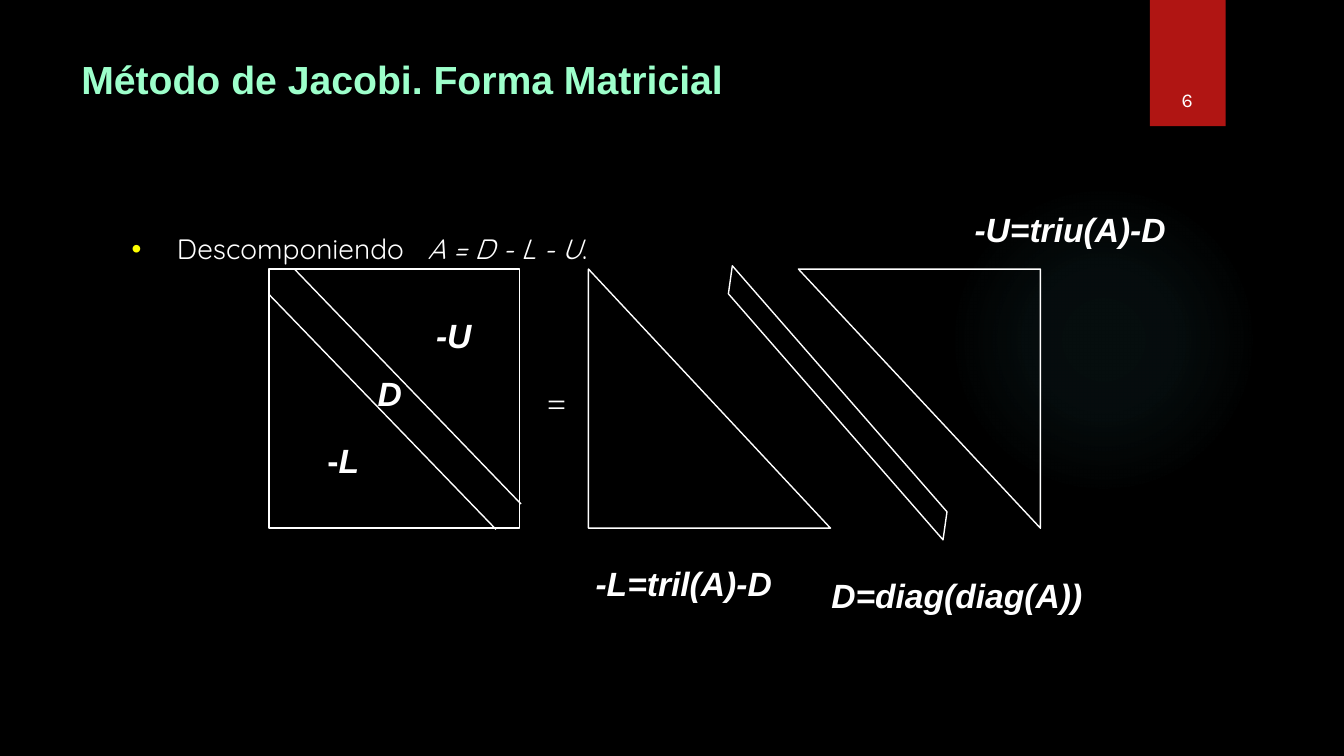
from dataclasses import dataclass

from lxml.etree import SubElement
from pptx import Presentation
from pptx.dml.color import RGBColor
from pptx.enum.shapes import MSO_CONNECTOR, MSO_SHAPE as Kind
from pptx.enum.text import MSO_ANCHOR as Anchor, PP_ALIGN as Align
from pptx.oxml import parse_xml
from pptx.oxml.ns import nsdecls, qn
from pptx.util import Cm, Pt

WHITE = "FFFFFF"


@dataclass
class Box:
    left: float
    top: float
    width: float
    height: float

    def place(self) -> list:
        return [Cm(v) for v in (self.left, self.top, self.width, self.height)]


@dataclass
class Figure:
    kind: Kind
    box: Box
    turn: float = 0
    skew: float | None = None


@dataclass
class Label:
    text: str
    left: float
    top: float
    width: float


@dataclass
class Style:
    size: float
    font: str
    color: str = WHITE
    bold: bool = False
    italic: bool | None = None


TOP, HIGH, WIDE = 6.78, 6.53, 6.1
FIGURES = [
    Figure(Kind.RECTANGLE, Box(6.78, TOP, 6.32, HIGH)),
    Figure(Kind.RIGHT_TRIANGLE, Box(14.83, TOP, WIDE, HIGH)),
    Figure(Kind.RIGHT_TRIANGLE, Box(20.12, TOP, WIDE, HIGH), turn=180),
    Figure(Kind.PARALLELOGRAM, Box(18.06, 7.04, WIDE, 6.22), turn=98, skew=0.883),
]
BANDS = [(7.42, TOP, 13.13, 12.7), (6.78, 7.42, 12.5, 13.34)]
LABELS = [
    Label("-L=tril(A)-D", 14.76, 14.07, 5),
    Label("-U", 10.74, 7.8, 1.42),
    Label("D", 9.27, 9.27, 1.14),
    Label("D=diag(diag(A))", 20.7, 14.35, 6.91),
    Label("-U=triu(A)-D", 24.31, 5.13, 5.38),
]


def rgb(code: str) -> RGBColor:
    return RGBColor.from_string(code)


def add_text(slide, box: Box, runs: list[str], style: Style, wrap: bool = True):
    """Add a text box with one paragraph and return that paragraph."""
    frame = slide.shapes.add_textbox(*box.place()).text_frame
    frame.word_wrap = wrap
    para = frame.paragraphs[0]
    for text in runs:
        para.add_run().text = text
    font = para.font
    font.size, font.name = Pt(style.size), style.font
    font.bold, font.italic = style.bold, style.italic
    font.color.rgb = rgb(style.color)
    return para


def add_solid(slide, kind: Kind, box: Box, fill: str):
    shape = slide.shapes.add_shape(kind, *box.place())
    shape.shadow.inherit = False
    shape.fill.solid()
    shape.fill.fore_color.rgb = rgb(fill)
    shape.line.fill.background()
    return shape


def add_halo(slide, box: Box, color: str) -> None:
    """Add a circle that fades out from its centre."""
    shape = add_solid(slide, Kind.OVAL, box, color)
    stops = "".join(
        f'<a:gs pos="{pos}000"><a:srgbClr val="{color}">'
        f'<a:alpha val="{alpha}000"/></a:srgbClr></a:gs>'
        for pos, alpha in ((0, 7), (36, 6), (69, 0), (100, 0))
    )
    props = shape._element.spPr
    props.replace(props.find(qn("a:solidFill")), parse_xml(
        f'<a:gradFill {nsdecls("a")} rotWithShape="1"><a:gsLst>{stops}</a:gsLst>'
        '<a:path path="circle"><a:fillToRect l="50000" t="50000" r="50000" '
        'b="50000"/></a:path></a:gradFill>'))


def add_figure(slide, fig: Figure) -> None:
    shape = slide.shapes.add_shape(fig.kind, *fig.box.place())
    shape.shadow.inherit = False
    shape.fill.background()
    shape.line.color.rgb = rgb(WHITE)
    shape.line.width = Pt(1)
    shape.rotation = fig.turn
    if fig.skew is not None:
        shape.adjustments[0] = fig.skew


def add_line(slide, ends: tuple) -> None:
    line = slide.shapes.add_connector(MSO_CONNECTOR.STRAIGHT, *(Cm(v) for v in ends))
    line.line.color.rgb = rgb(WHITE)
    line.line.width = Pt(1)
    SubElement(line._element.spPr, qn("a:effectLst"))


def add_bullet(para, color: str, indent: float) -> None:
    props = para._p.get_or_add_pPr()
    props.set("marL", str(Cm(indent)))
    props.set("indent", str(-Cm(indent)))
    marks = [
        f'<a:buClr {nsdecls("a")}><a:srgbClr val="{color}"/></a:buClr>',
        f'<a:buFont {nsdecls("a")} typeface="Arial"/>',
        f'<a:buChar {nsdecls("a")} char="•"/>',
    ]
    for spot, mark in enumerate(marks):
        props.insert(spot, parse_xml(mark))


def add_body(slide) -> None:
    para = add_text(slide, Box(3.07, 5.72, 24.84, 11.66),
                    ["Descomponiendo", " ", "A = D - L - U", "."],
                    Style(20, "Quicksand"))
    add_bullet(para, "FFFF00", 1.14)
    gap, formula = para.runs[1:3]
    gap.font._element.set("spc", "1140")
    formula.font.italic = True


def main() -> None:
    deck = Presentation()
    deck.slide_width, deck.slide_height = Cm(33.87), Cm(19.05)
    slide = deck.slides.add_slide(deck.slide_layouts[6])
    back = slide.background.fill
    back.solid()
    back.fore_color.rgb = rgb("000000")

    add_halo(slide, Box(23.9, 4.65, 7.82, 7.82), "50B9C1")
    add_solid(slide, Kind.RECTANGLE, Box(28.98, 0, 1.91, 3.18), "B01513")
    page = add_text(slide, Box(28.75, 0.81, 2.34, 2.13), ["6"], Style(14, "Karla"))
    page.alignment = Align.CENTER
    slide.shapes[-1].text_frame.vertical_anchor = Anchor.BOTTOM
    add_text(slide, Box(1.8, 1.27, 26.14, 3.89), ["Método de Jacobi. Forma Matricial"],
             Style(28, "Arial", "9DFFCB", bold=True))
    add_body(slide)

    for fig in FIGURES:
        add_figure(slide, fig)
    for ends in BANDS:
        add_line(slide, ends)

    strong = Style(24, "Arial", bold=True, italic=True)
    for label in LABELS:
        box = Box(label.left, label.top, label.width, 1.3)
        add_text(slide, box, [label.text], strong, wrap=False)
    lower = add_text(slide, Box(8, 10.97, 1.32, 1.3), ["-", "L"],
                     Style(24, "Arial", bold=True), wrap=False)
    lower.runs[1].font.italic = True
    add_text(slide, Box(13.54, 9.53, 0.58, 1.27), ["="], Style(24, "Times New Roman"))
    deck.save("out.pptx")


if __name__ == "__main__":
    main()
